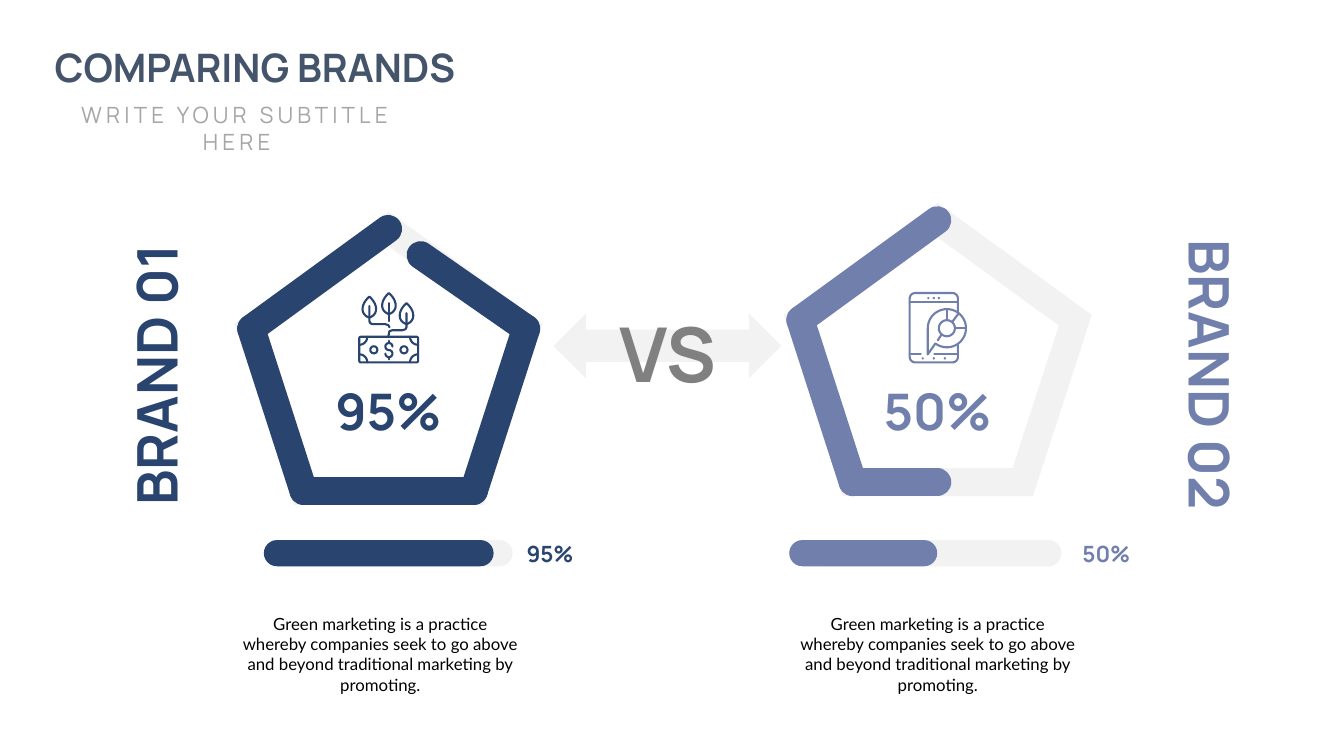
from math import cos, radians, sin

from lxml import etree
from pptx import Presentation
from pptx.dml.color import RGBColor
from pptx.enum.shapes import MSO_CONNECTOR, MSO_SHAPE
from pptx.enum.text import MSO_ANCHOR, PP_ALIGN
from pptx.oxml.ns import qn
from pptx.util import Cm, Pt

STRAIGHT = MSO_CONNECTOR.STRAIGHT
PENTAGON = MSO_SHAPE.REGULAR_PENTAGON
ROUNDED = MSO_SHAPE.ROUNDED_RECTANGLE
DOUBLE_ARROW = MSO_SHAPE.LEFT_RIGHT_ARROW
LEFT, CENTER = PP_ALIGN.LEFT, PP_ALIGN.CENTER
TOP, MIDDLE = MSO_ANCHOR.TOP, MSO_ANCHOR.MIDDLE

NAVY, LAVENDER, PALE = "29446F", "717FAC", "F2F2F2"
PENTAGON_SIZE = (6.93, 6.6)
PENTAGON_CORNERS = [(3.45, 0), (0, 2.51), (1.32, 6.6), (5.61, 6.6), (6.93, 2.51)]
RING_WEIGHT = 20
ICON_UNIT = 1.52 / 60
DESCRIPTION = (
    "Green marketing is a practice whereby companies seek to go above "
    "and beyond traditional marketing by promoting."
)


def color(value):
    return RGBColor.from_string(value)


def arc(x, y, radius, start, end, steps=24):
    angles = [radians(start + (end - start) * i / steps) for i in range(steps + 1)]
    return [(x + radius * cos(a), y + radius * sin(a)) for a in angles]


def circle(x, y, radius):
    return arc(x, y, radius, 0, 360)


def rounded_box(left, top, right, bottom, radius):
    return (
        arc(right - radius, top + radius, radius, 0, -90, 6)
        + arc(left + radius, top + radius, radius, 270, 180, 6)
        + arc(left + radius, bottom - radius, radius, 180, 90, 6)
        + arc(right - radius, bottom - radius, radius, 90, 0, 6)
    )


def leaf(x, top):
    def side(direction):
        points = []
        for i in range(13):
            t = i / 12
            reach = 9 * 3 * t * (1 - t)
            depth = 3 * t * (1 - t) ** 2 * 8 + 3 * t * t * (1 - t) * 18 + 21 * t**3
            points.append((x + direction * reach, top + depth))
        return points

    return side(-1) + side(1)[::-1]


def money_plant():
    stems = [
        [(11, 14), (11, 29), (12, 31), (14, 32), (27, 32), (30, 33), (31, 35)],
        [(30.5, 11), (30.5, 29)],
        [(48, 21), (48, 35), (47, 37), (44, 38), (34, 38), (31, 39), (30, 44)],
    ]
    note_edge = rounded_box(1, 44.5, 59.5, 70, 1.5)
    note = [
        note_edge + note_edge[:1],
        arc(1, 44.5, 8, 0, 90),
        arc(59.5, 44.5, 8, 90, 180),
        arc(59.5, 70, 8, 180, 270),
        arc(1, 70, 8, 270, 360),
        circle(15.5, 57.5, 3.5),
        circle(45.5, 57.5, 3.5),
    ]
    dollar = [
        arc(30.5, 54.25, 3.5, 0, -270) + arc(30.5, 61.25, 3.5, -90, 180),
        [(30.5, 48.5), (30.5, 50.75)],
        [(30.5, 64.75), (30.5, 67)],
    ]
    leaves = [leaf(11, 4.5), leaf(30.5, 1), leaf(48, 11)]
    return leaves + stems + note + dollar


def phone_chart():
    body = [(49, 19.5)] + rounded_box(1, 1, 49, 70, 5.5) + [(49, 52.5)]
    bubble = arc(38, 36, 19, 180, 487, 48) + [(19, 62), (19, 36)]
    lines = [
        [(1, 10), (49, 10)],
        [(1, 62), (12, 62)],
        [(25.5, 62), (49, 62)],
        [(38, 17), (38, 28)],
        [(46, 36), (57, 36)],
        [(43.5, 29.5), (49.5, 21.5)],
        [(32.5, 42.5), (29, 48)],
    ]
    dots = [circle(x, 6, 0.1) for x in (19.5, 25, 30)]
    dots += [circle(x, 66, 0.1) for x in (14, 25, 36)]
    return [body, bubble, circle(38, 36, 8)] + lines + dots


class SlideBuilder:
    def __init__(self, slide, font="Manrope"):
        self.slide = slide
        self.font = font

    def text(self, text, left, top, width, height, *, size, fill, font=None, bold=True,
             align=CENTER, anchor=MIDDLE, wrap=False, insets=(0.25, 0.13),
             rotation=0, spacing=None):
        box = self.slide.shapes.add_textbox(Cm(left), Cm(top), Cm(width), Cm(height))
        box.rotation = rotation
        frame = box.text_frame
        frame.word_wrap = wrap
        frame.vertical_anchor = anchor
        frame.margin_left = frame.margin_right = Cm(insets[0])
        frame.margin_top = frame.margin_bottom = Cm(insets[1])
        paragraph = frame.paragraphs[0]
        paragraph.alignment = align
        run = paragraph.add_run()
        run.text = text
        run.font.name = font or self.font
        run.font.size = Pt(size)
        run.font.bold = bold
        run.font.color.rgb = color(fill)
        if spacing:
            run.font._element.set("spc", str(spacing * 100))

    def stroke(self, line, line_color, weight, rounded=True):
        line.color.rgb = color(line_color)
        line.width = Pt(weight)
        outline = line._get_or_add_ln()
        if rounded:
            outline.set("cap", "rnd")
            etree.SubElement(outline, qn("a:round"))
        else:
            etree.SubElement(outline, qn("a:miter")).set("lim", "800000")

    def shape(self, kind, left, top, width, height, fill):
        shape = self.slide.shapes.add_shape(kind, Cm(left), Cm(top), Cm(width), Cm(height))
        shape.shadow.inherit = False
        shape.fill.solid()
        shape.fill.fore_color.rgb = color(fill)
        shape.line.fill.background()
        return shape

    def bar(self, left, width, fill):
        self.shape(ROUNDED, left, 13.61, width, 0.66, fill).adjustments[0] = 0.5

    def line(self, start, end, line_color):
        connector = self.slide.shapes.add_connector(
            STRAIGHT, *[Cm(value) for value in (*start, *end)])
        self.stroke(connector.line, line_color, RING_WEIGHT)
        etree.SubElement(connector._element.spPr, qn("a:effectLst"))

    def ring(self, left, top, corner_count, end, line_color):
        pentagon = self.shape(PENTAGON, left, top, *PENTAGON_SIZE, PALE)
        pentagon.fill.background()
        self.stroke(pentagon.line, PALE, RING_WEIGHT, rounded=False)
        points = [(left + x, top + y) for x, y in PENTAGON_CORNERS[:corner_count] + [end]]
        for start, finish in zip(points, points[1:]):
            self.line(start, finish, line_color)

    def icon(self, left, top, contours, line_color):
        placed = [[(Cm(left + x * ICON_UNIT), Cm(top + y * ICON_UNIT)) for x, y in contour]
                  for contour in contours]
        builder = self.slide.shapes.build_freeform(*placed[0][0])
        for index, points in enumerate(placed):
            if index:
                builder.move_to(*points[0])
            builder.add_line_segments(points[1:], close=False)
        shape = builder.convert_to_shape()
        shape.shadow.inherit = False
        shape.fill.background()
        self.stroke(shape.line, line_color, 1.5)


def main():
    presentation = Presentation()
    presentation.slide_width, presentation.slide_height = Cm(33.87), Cm(19.05)
    slide = SlideBuilder(presentation.slides.add_slide(presentation.slide_layouts[6]))

    slide.shape(DOUBLE_ARROW, 13.95, 7.9, 5.74, 1.63, PALE)
    slide.text("COMPARING BRANDS", 0.86, 0.97, 11.13, 1.45,
               size=28, fill="44546A", anchor=TOP)
    slide.text("WRITE YOUR SUBTITLE HERE", 0.86, 2.42, 10.21, 0.94, size=16,
               fill="A6A6A6", bold=False, anchor=TOP, wrap=True, spacing=3)
    slide.text("VS", 15.29, 7.59, 3.1, 2.57, size=54, fill="808080")

    brands = [
        dict(name="BRAND 01", name_box=(0.25, 8.46, 7.32, 1.96), rotation=270, fill=NAVY,
             share="95%", share_left=8.15, label_left=13.02, text_left=5.51,
             ring=(6.33, 5.77, 5, (4.27, 0.66)), icon=(9.03, 7.36, money_plant()),
             track=(6.65, 6.27), progress=(6.65, 5.79)),
        dict(name="BRAND 02", name_box=(26.72, 8.46, 7.59, 1.96), rotation=90, fill=LAVENDER,
             share="50%", share_left=21.99, label_left=27.03, text_left=19.56,
             ring=(20.17, 5.55, 3, (3.45, 6.6)), icon=(22.9, 7.36, phone_chart()),
             track=(20.5, 6.25), progress=(19.89, 3.73)),
    ]
    for brand in brands:
        fill = brand["fill"]
        slide.icon(*brand["icon"], fill)
        slide.bar(*brand["track"], PALE)
        slide.bar(*brand["progress"], fill)
        slide.text(brand["share"], brand["share_left"], 9.45, 3.28, 1.8, size=36, fill=fill)
        slide.text(brand["share"], brand["label_left"], 13.48, 1.74, 0.94,
                   size=16, fill=fill, align=LEFT)
        slide.text(DESCRIPTION, brand["text_left"], 15.17, 8.15, 2.67, size=12, fill="000000",
                   font="Lato", bold=False, anchor=TOP, wrap=True, insets=(0.55, 0.3))
        slide.text(brand["name"], *brand["name_box"], size=40, fill=fill,
                   rotation=brand["rotation"])
        slide.ring(*brand["ring"], fill)

    presentation.save("out.pptx")


if __name__ == "__main__":
    main()
